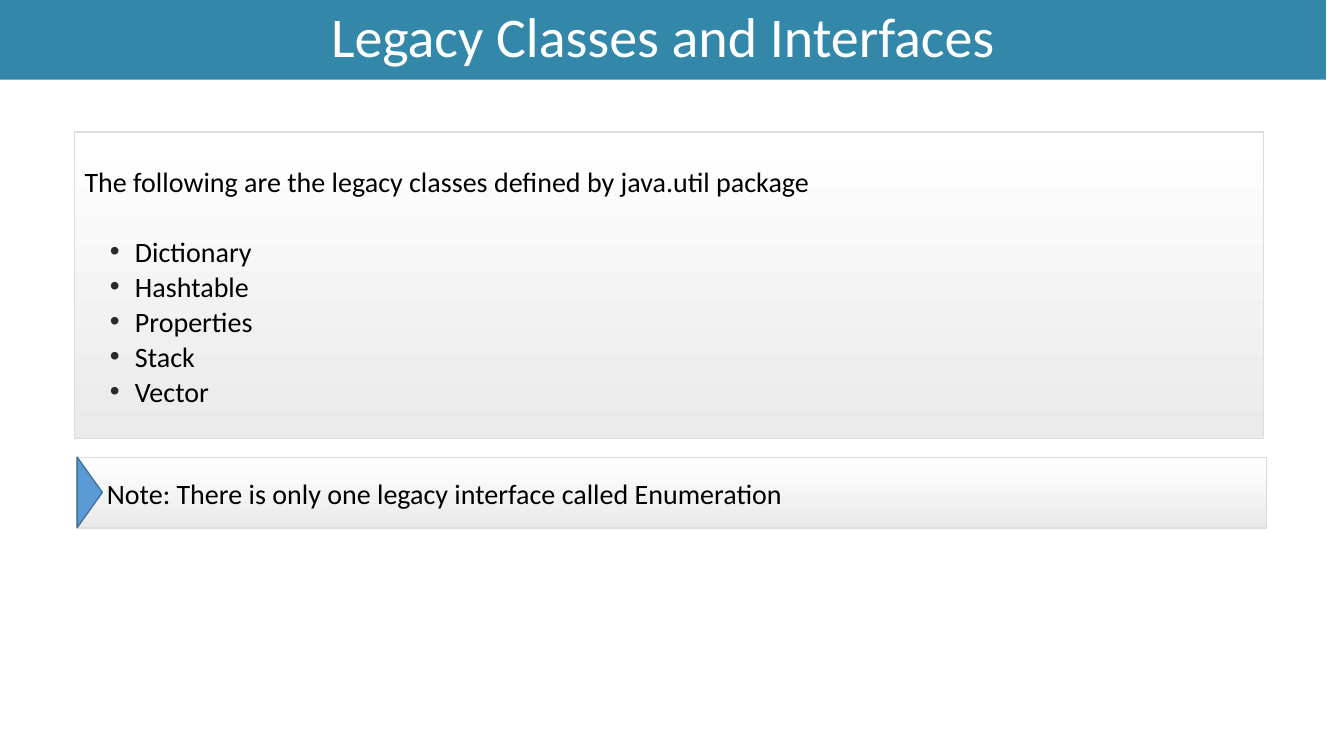
from lxml.etree import SubElement
from pptx import Presentation
from pptx.dml.color import RGBColor
from pptx.enum.shapes import MSO_SHAPE
from pptx.enum.text import MSO_ANCHOR, MSO_AUTO_SIZE, PP_ALIGN
from pptx.oxml.ns import qn
from pptx.util import Inches, Pt

TEAL = RGBColor(0x33, 0x88, 0xA9)
WHITE = RGBColor(0xFF, 0xFF, 0xFF)
BLACK = RGBColor(0, 0, 0)
PALE_GREY = RGBColor(0xEA, 0xEA, 0xEA)
BORDER_GREY = RGBColor(0xDD, 0xDD, 0xDD)
BLUE = RGBColor(0x5B, 0x9B, 0xD5)
DARK_BLUE = RGBColor(0x43, 0x73, 0x9E)
BULLET_GREY = "292929"
FONT = "Calibri"


def add_panel(shapes, left, top, width, height, insets):
    panel = shapes.add_shape(MSO_SHAPE.RECTANGLE, Inches(left), Inches(top),
                             Inches(width), Inches(height))
    panel.shadow.inherit = False
    panel.fill.gradient()
    panel.fill.gradient_angle = 270
    for stop, position, color in zip(panel.fill.gradient_stops, (0, 1), (WHITE, PALE_GREY)):
        stop.position = position
        stop.color.rgb = color
    panel.line.color.rgb = BORDER_GREY
    panel.line.width = Pt(1)
    frame = panel.text_frame
    frame.word_wrap = True
    frame.vertical_anchor = MSO_ANCHOR.MIDDLE
    (frame.margin_left, frame.margin_top,
     frame.margin_right, frame.margin_bottom) = map(Inches, insets)
    return frame


def write_line(paragraph, text, align, size=20, color=BLACK, spacing=Pt(25)):
    paragraph.alignment = align
    paragraph.line_spacing = spacing
    run = paragraph.add_run()
    run.text = text
    run.font.name = FONT
    run.font.size = Pt(size)
    run.font.color.rgb = color


prs = Presentation()
prs.slide_width, prs.slide_height = Inches(13.33), Inches(7.5)
slide = prs.slides.add_slide(prs.slide_layouts[5])

# Title bar
title = slide.shapes.title
title.left, title.top = Inches(0), Inches(0)
title.width, title.height = Inches(13.15), Inches(0.79)
title.fill.solid()
title.fill.fore_color.rgb = TEAL
title.text_frame.auto_size = MSO_AUTO_SIZE.NONE
title.text_frame.vertical_anchor = MSO_ANCHOR.MIDDLE
write_line(title.text_frame.paragraphs[0], "Legacy Classes and Interfaces",
           PP_ALIGN.CENTER, size=40, color=WHITE, spacing=0.9)

# Legacy classes
classes = add_panel(slide.shapes, 0.74, 1.31, 11.79, 3.04, (0.1, 0.1, 0.1, 0.1))
intro = classes.paragraphs[0]
write_line(intro, "The following are the legacy classes defined by\u00a0java.util\u00a0package",
           PP_ALIGN.JUSTIFY)
intro.space_after = Pt(25)
for class_name in ("Dictionary", "Hashtable", "Properties", "Stack", "Vector"):
    item = classes.add_paragraph()
    item.level = 1
    write_line(item, class_name, PP_ALIGN.JUSTIFY)
    properties = item._p.get_or_add_pPr()
    properties.set("marL", str(Inches(0.5)))
    properties.set("indent", str(Inches(-0.25)))
    bullet_color = SubElement(properties, qn("a:buClr"))
    SubElement(bullet_color, qn("a:srgbClr"), val=BULLET_GREY)
    SubElement(properties, qn("a:buFont"), typeface="Arial")
    SubElement(properties, qn("a:buChar"), char="\u2022")

# Note with its arrow marker
note_group = slide.shapes.add_group_shape()
note = add_panel(note_group.shapes, 0.76, 4.54, 11.8, 0.7, (0.3, 0, 0, 0))
write_line(note.paragraphs[0],
           "Note: There is only one legacy interface called\u00a0Enumeration", PP_ALIGN.LEFT)
marker = note_group.shapes.add_shape(MSO_SHAPE.ISOSCELES_TRIANGLE, Inches(0.54), Inches(4.76),
                                     Inches(0.7), Inches(0.25))
marker.rotation = 90
marker.shadow.inherit = False
marker.fill.solid()
marker.fill.fore_color.rgb = BLUE
marker.line.color.rgb = DARK_BLUE
marker.line.width = Pt(1)

prs.save("out.pptx")
